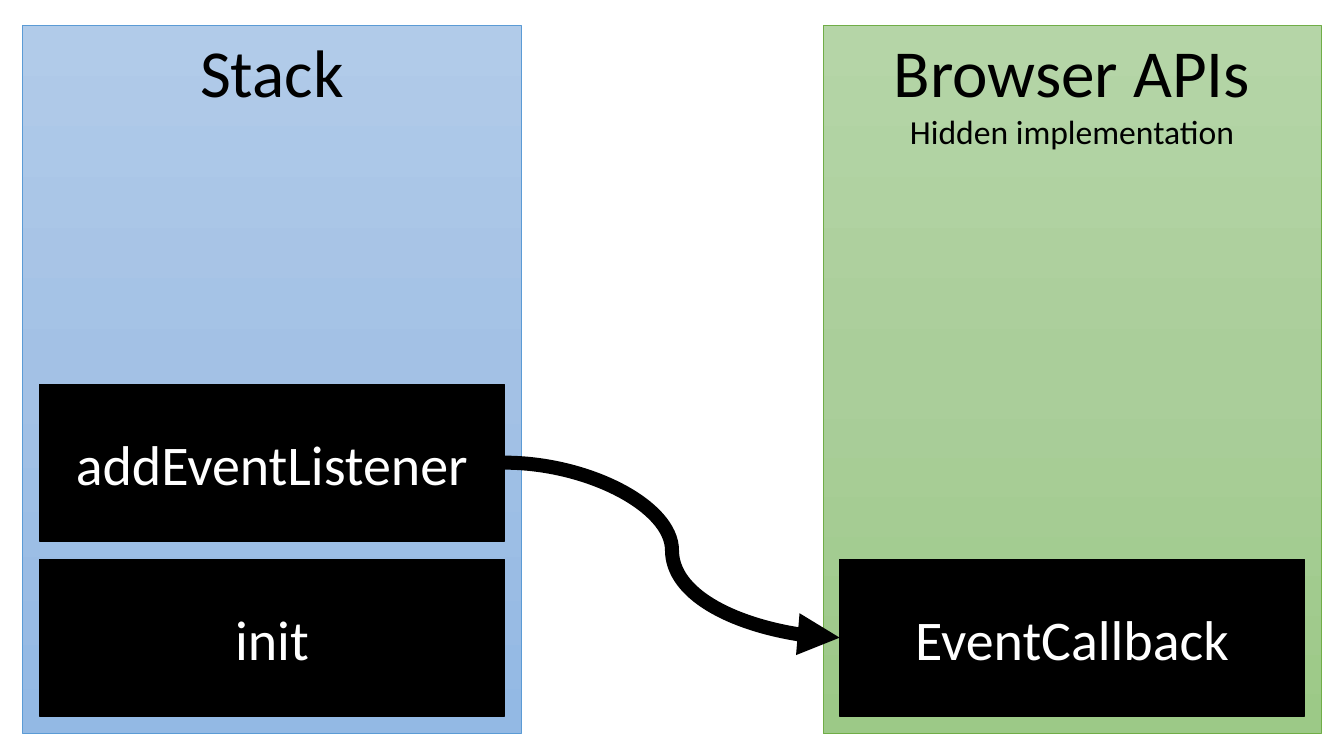
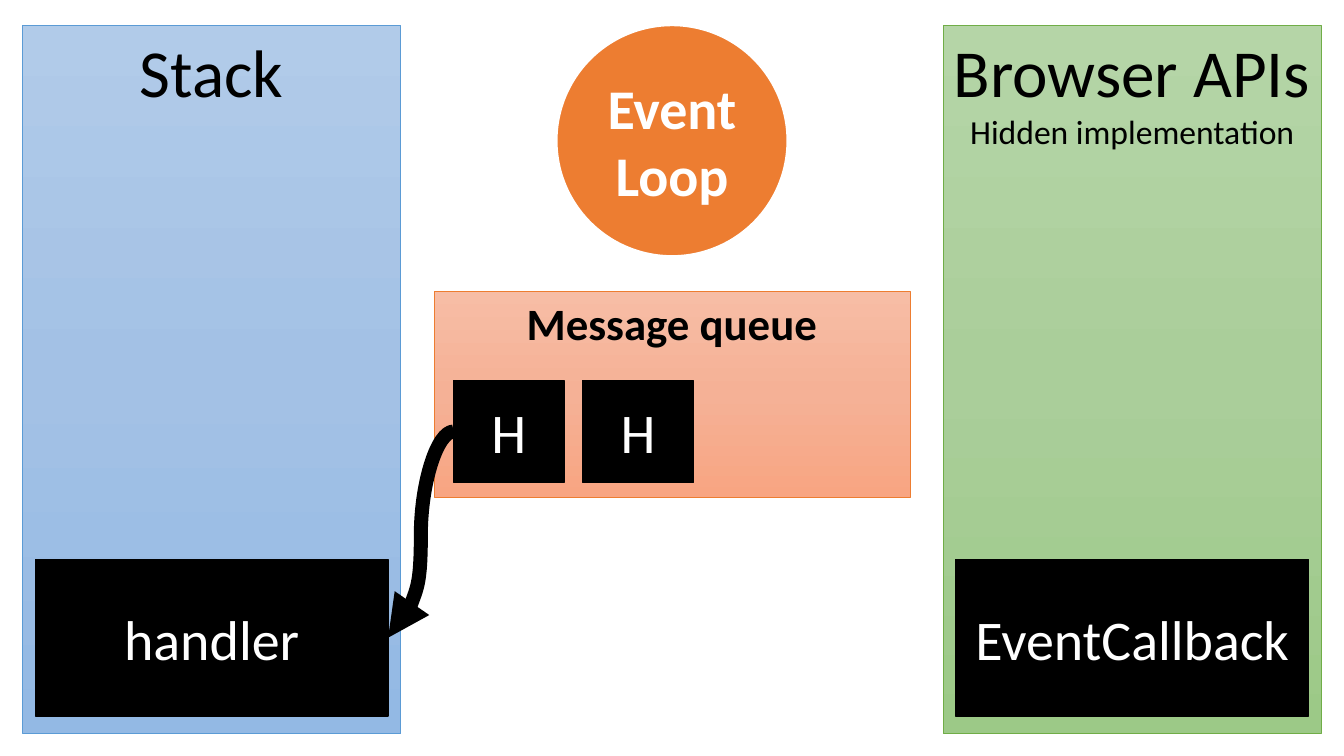
"""Build two slides on the call stack, browser APIs and the event loop."""
from copy import deepcopy

from lxml import etree
from pptx import Presentation
from pptx.dml.color import RGBColor
from pptx.enum.shapes import MSO_CONNECTOR, MSO_SHAPE
from pptx.enum.text import MSO_ANCHOR, PP_ALIGN
from pptx.oxml.ns import qn
from pptx.util import Pt

RECTANGLE = MSO_SHAPE.RECTANGLE
OVAL = MSO_SHAPE.OVAL
CURVE = MSO_CONNECTOR.CURVE
CENTER = PP_ALIGN.CENTER
TOP = MSO_ANCHOR.TOP
MIDDLE = MSO_ANCHOR.MIDDLE

FONT = "Calibri"
COLORS = {"black": "000000", "white": "FFFFFF", "blue": "5B9BD5",
          "green": "70AD47", "orange": "ED7D31"}
GRADIENTS = {"blue": ("B1CBE9", "A3C1E5", "93B9E4"),
             "green": ("B5D5A7", "AACE9A", "9CC987"),
             "orange": ("F7BDA5", "F5B196", "F8A582")}

SLIDE_WIDTH, SLIDE_HEIGHT = 960, 540
SIDE_MARGIN = 16.25
PANEL_TOP, PANEL_HEIGHT = 18, 506
FRAME_HEIGHT, FRAME_PITCH = 112, 125
BOTTOM_FRAME_TOP = 399.5
LEFT_SITE, RIGHT_SITE = 1, 3


def rgb(name):
    """Return the palette colour with this name."""
    return RGBColor.from_string(COLORS[name])


def add_box(slide, kind, bounds, outline, weight):
    """Add a shadowless outlined shape; bounds are points."""
    box = slide.shapes.add_shape(kind, *(Pt(length) for length in bounds))
    box.shadow.inherit = False
    box.line.color.rgb = rgb(outline)
    box.line.width = Pt(weight)
    return box


def write_lines(box, lines, color, anchor, bold=False):
    """Fill a shape with centred paragraphs given as (text, size) pairs."""
    frame = box.text_frame
    frame.word_wrap = True
    frame.vertical_anchor = anchor
    frame.text = "\n".join(text for text, _ in lines)
    for paragraph, (_, size) in zip(frame.paragraphs, lines):
        paragraph.alignment = CENTER
        font = paragraph.runs[0].font
        font.name = FONT
        font.size = Pt(size)
        font.bold = bold
        font.color.rgb = rgb(color)


def add_panel(slide, bounds, hue, lines, bold=False):
    """Add a panel with a vertical gradient and its heading at the top."""
    panel = add_box(slide, RECTANGLE, bounds, hue, 0.5)
    fill = panel.fill
    fill.gradient()
    fill.gradient_angle = 270
    stop_list = panel._element.spPr.find(".//" + qn("a:gsLst"))
    stop_list.insert(1, deepcopy(stop_list[0]))
    for stop, position, shade in zip(fill.gradient_stops, (0, 0.5, 1), GRADIENTS[hue]):
        stop.position = position
        stop.color.rgb = RGBColor.from_string(shade)
    write_lines(panel, lines, "black", TOP, bold)


def add_block(slide, text, bounds):
    """Add a black block with a white label."""
    block = add_box(slide, RECTANGLE, bounds, "black", 1)
    block.fill.solid()
    block.fill.fore_color.rgb = rgb("black")
    write_lines(block, [(text, 40)], "white", MIDDLE)
    return block


def add_side(slide, left, width, inset, hue, heading, calls):
    """Add a side panel and stack its calls upwards from the bottom."""
    add_panel(slide, (left, PANEL_TOP, width, PANEL_HEIGHT), hue, heading)
    return [add_block(slide, call, (left + inset, BOTTOM_FRAME_TOP - level * FRAME_PITCH,
                                    width - 2 * inset, FRAME_HEIGHT))
            for level, call in enumerate(calls)]


def add_sides(slide, width, inset, stack_calls):
    """Add the stack and the browser panels; return the blocks of each."""
    stack = add_side(slide, SIDE_MARGIN, width, inset, "blue", [("Stack", 48)], stack_calls)
    browser = add_side(slide, SLIDE_WIDTH - SIDE_MARGIN - width, width, inset, "green",
                       [("Browser APIs", 48), ("Hidden implementation", 24)],
                       ["EventCallback"])
    return stack, browser


def add_arrow(slide, source, source_site, target, target_site):
    """Join two blocks with a thick curved arrow."""
    arrow = slide.shapes.add_connector(CURVE, 0, 0, 0, 0)
    arrow.begin_connect(source, source_site)
    arrow.end_connect(target, target_site)
    arrow.line.color.rgb = rgb("black")
    arrow.line.width = Pt(10)
    etree.SubElement(arrow.line._get_or_add_ln(), qn("a:tailEnd"), type="triangle")
    etree.SubElement(arrow._element.spPr, qn("a:effectLst"))


def add_event_loop(slide):
    """Add the orange event loop circle."""
    diameter = 165
    loop = add_box(slide, OVAL, ((SLIDE_WIDTH - diameter) / 2, PANEL_TOP, diameter, diameter),
                   "white", 1.5)
    loop.fill.solid()
    loop.fill.fore_color.rgb = rgb("orange")
    write_lines(loop, [("Event", 40), ("Loop", 40)], "white", MIDDLE, True)


def add_queue(slide, messages):
    """Add the message queue and return its message blocks."""
    width = 340
    left = (SLIDE_WIDTH - width) / 2
    add_panel(slide, (left, 208, width, 147), "orange", [("Message queue", 32)], True)
    return [add_block(slide, message, (left + 14 + place * 92.25, 272, 79, 72.5))
            for place, message in enumerate(messages)]


def build_registration(slide):
    """Show the listener call handing its callback to the browser."""
    (_, listener), (callback,) = add_sides(slide, 356, 12, ["init", "addEventListener"])
    add_arrow(slide, listener, RIGHT_SITE, callback, LEFT_SITE)


def build_dispatch(slide):
    """Show the first queued message moving to the stack."""
    (handler,), _ = add_sides(slide, 270, 9, ["handler"])
    add_event_loop(slide)
    first_message, _ = add_queue(slide, ["H", "H"])
    add_arrow(slide, first_message, LEFT_SITE, handler, RIGHT_SITE)


def main():
    """Build and save the deck."""
    deck = Presentation()
    deck.slide_width, deck.slide_height = Pt(SLIDE_WIDTH), Pt(SLIDE_HEIGHT)
    blank = deck.slide_layouts[6]
    for build in (build_registration, build_dispatch):
        build(deck.slides.add_slide(blank))
    deck.save("out.pptx")


main()
